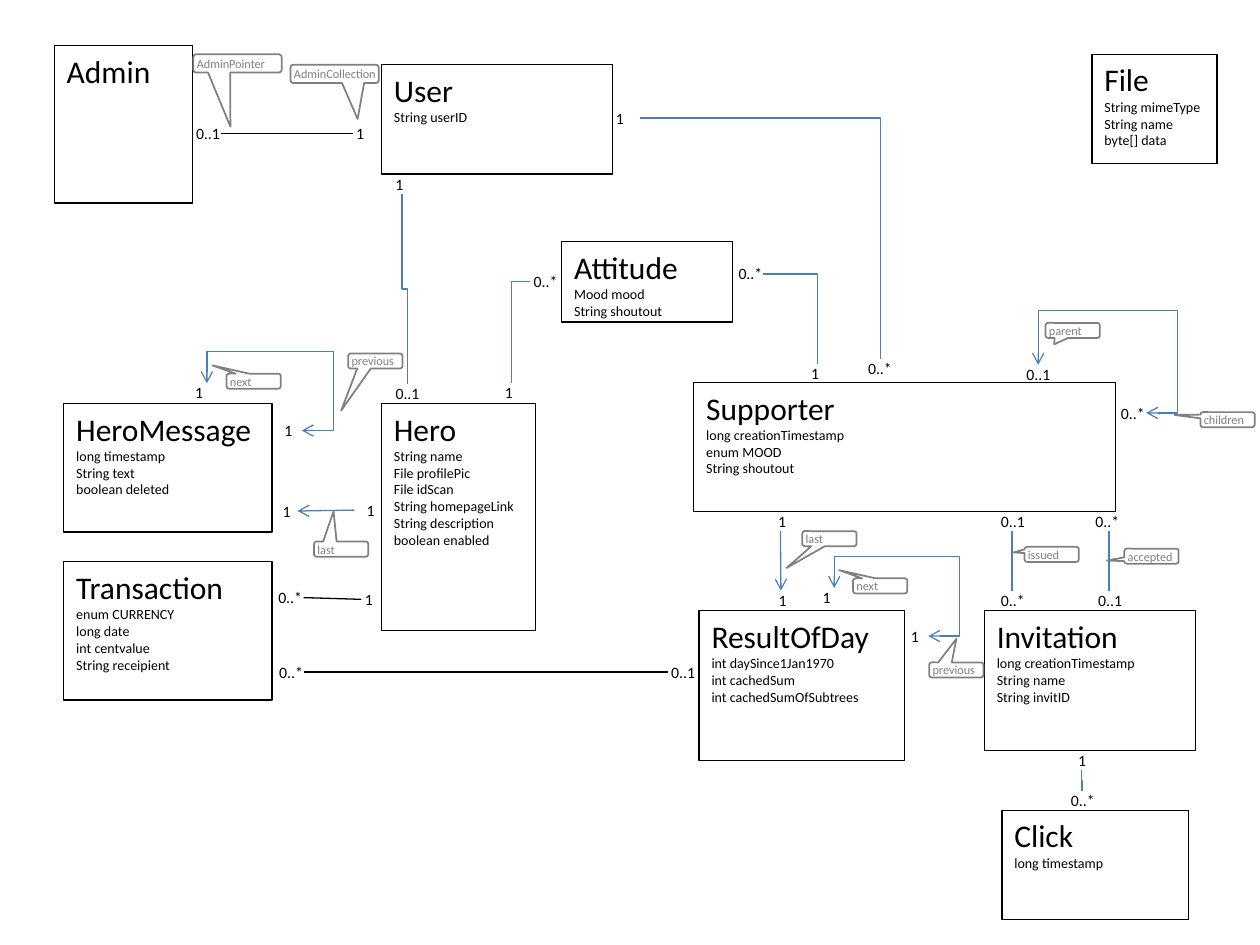
from lxml.etree import SubElement as sub
from pptx import Presentation
from pptx.dml.color import RGBColor as RGB
from pptx.enum.shapes import MSO_CONNECTOR as CONN, MSO_SHAPE as SHAPE
from pptx.enum.text import MSO_ANCHOR as ANCHOR, PP_ALIGN as ALIGN
from pptx.oxml.ns import qn
from pptx.util import Pt

HUES = {"ink": "000000", "link": "4B7EBC", "note": "808080"}
FONT = "Calibri"
TOP, LEFT, BOTTOM, RIGHT = range(4)

# Classes: name, fields, (left, top, width, height)
BOXES = [
    ("User", ["String userID"], (218, 37, 132, 62.5)),
    ("Supporter", ["long creationTimestamp", "enum MOOD", "String shoutout"],
     (396.5, 218.5, 241, 74)),
    ("Hero", ["String name", "File profilePic", "File idScan", "String homepageLink",
              "String description", "boolean enabled"], (218, 230.5, 88, 130)),
    ("Invitation", ["long creationTimestamp", "String name", "String invitID"],
     (562.5, 349, 120.5, 80)),
    ("HeroMessage", ["long timestamp", "String text", "boolean deleted"],
     (36.5, 230.5, 119, 73.5)),
    ("Transaction", ["enum CURRENCY", "long date", "int centvalue", "String receipient"],
     (36.5, 321, 119, 79)),
    ("File", ["String mimeType", "String name", "byte[] data"], (624, 31, 71.5, 62.5)),
    ("Click", ["long timestamp"], (572.5, 463, 106.5, 62.5)),
    ("ResultOfDay", ["int daySince1Jan1970", "int cachedSum", "int cachedSumOfSubtrees"],
     (399.5, 349, 117.5, 85.5)),
    ("Admin", [], (31, 26, 79, 90)),
    ("Attitude", ["Mood mood", "String shoutout"], (321, 138, 97.5, 46)),
]

# Multiplicities: key (class and partner) -> text, left, top, width
ENDS = {
    "user hero": ("1", 224, 100, 11.5),
    "hero user": ("0..1", 224, 219.5, 18),
    "att hero": ("0..*", 303, 155.5, 16),
    "hero att": ("1", 286.5, 219, 11.5),
    "att sup": ("0..*", 420, 151, 16),
    "sup att": ("1", 461.5, 208, 11.5),
    "user sup": ("1", 350, 62, 16),
    "sup user": ("0..*", 494, 205, 18.5),
    "sup parent": ("0..1", 584.5, 208.5, 17.5),
    "sup child": ("0..*", 638.5, 230.5, 16.5),
    "sup issued": ("0..1", 570, 292.5, 16.5),
    "inv issued": ("0..*", 570, 337.5, 16.5),
    "sup accept": ("0..*", 624, 292.5, 19.5),
    "inv accept": ("0..1", 625.5, 337.5, 16.5),
    "inv click": ("1", 614, 429, 8),
    "click inv": ("0..*", 610, 452, 16.5),
    "hero tra": ("1", 206.5, 337, 11.5),
    "tra hero": ("0..*", 157, 336, 16.5),
    "res tra": ("0..1", 381.5, 378.5, 16.5),
    "tra res": ("0..*", 157.5, 378.5, 16.5),
    "res next": ("1", 468, 336, 17.5),
    "res prev": ("1", 518.5, 358, 12),
    "sup last": ("1", 435, 292.5, 22),
    "res last": ("1", 438, 337.5, 16.5),
    "admin user": ("0..1", 110, 71, 16.5),
    "user admin": ("1", 201.5, 71, 21),
    "mess next": ("1", 109.5, 219, 17.5),
    "mess prev": ("1", 160.5, 240.5, 12),
    "hero last": ("1", 202.5, 286, 16.5),
    "mess last": ("1", 155.5, 286.5, 14.5),
}
END_H = 11

# Straight links: from, side, to, side, hue, arrow
LINES = [
    ("hero tra", LEFT, "tra hero", RIGHT, "ink", False),
    ("res tra", LEFT, "tra res", RIGHT, "ink", False),
    ("user admin", LEFT, "admin user", RIGHT, "ink", False),
    ("sup issued", BOTTOM, "inv issued", TOP, "link", False),
    ("sup accept", BOTTOM, "inv accept", TOP, "link", False),
    ("sup last", BOTTOM, "res last", TOP, "link", True),
    ("hero last", LEFT, "mess last", RIGHT, "link", True),
]

# Elbow links: from, side, to, side, bends, turn, flip
ELBOWS = [
    ("inv click", BOTTOM, "click inv", TOP, 2, 270, "flipH"),
    ("user hero", BOTTOM, "hero user", TOP, 2, 270, "flipH"),
    ("att hero", LEFT, "hero att", TOP, 1, 180, "flipV"),
    ("user sup", RIGHT, "sup user", TOP, 1, 0, None),
    ("att sup", RIGHT, "sup att", TOP, 1, 0, None),
]

# Self links: from the top of one end to the right of the other, rise
LOOPS = [("sup parent", "sup child", 31), ("res next", "res prev", 18),
         ("mess next", "mess prev", 18)]
REACH = 18

# Role names: text, left, top, tip as a share of the size
NOTES = [
    ("issued", 585.5, 312.5, (-0.7, -0.13)),
    ("accepted", 642.5, 313.5, (-0.82, 0.29)),
    ("children", 686, 235.5, (-0.98, -0.31)),
    ("parent", 597.5, 184.5, (-0.34, 0.93)),
    ("last", 458.5, 303.5, (-0.79, 1.95)),
    ("previous", 531, 378.5, (0, -2.07)),
    ("next", 487.5, 330.5, (-0.76, -1.05)),
    ("previous", 199, 202, (-0.63, 3.3)),
    ("next", 129.5, 213.5, (-0.76, -1.05)),
    ("last", 179.5, 309.5, (-0.14, -2.51)),
    ("AdminCollection", 166, 37, (0.26, 2.46)),
    ("AdminPointer", 110.5, 31, (-0.08, 3.45)),
]

deck = Presentation()
deck.slide_width, deck.slide_height = Pt(720), Pt(540)
slide = deck.slides.add_slide(deck.slide_layouts[6])
shapes = slide.shapes


def color(hue):
    return RGB.from_string(HUES[hue])


def write(shape, rows, hue="ink", align=ALIGN.LEFT, pads=None, **form):
    frame = shape.text_frame
    for side, pad in zip(("left", "top", "right", "bottom"), pads or ()):
        setattr(frame, f"margin_{side}", Pt(pad))
    for name, val in form.items():
        setattr(frame, name, val)
    for i, (text, size) in enumerate(rows):
        para = frame.add_paragraph() if i else frame.paragraphs[0]
        para.alignment = align
        run = para.add_run()
        run.text = text
        for name, val in {"name": FONT, "size": Pt(size)}.items():
            setattr(run.font, name, val)
        run.font.color.rgb = color(hue)


def outline(kind, area, hue, width):
    shape = shapes.add_shape(kind, *map(Pt, area))
    shape.shadow.inherit = False
    shape.fill.background()
    shape.line.color.rgb = color(hue)
    shape.line.width = Pt(width)
    return shape


def spot(key, side):
    _, x, y, w = ENDS[key]
    return [(x + w / 2, y), (x, y + END_H / 2),
            (x + w / 2, y + END_H), (x + w, y + END_H / 2)][side]


def connect(kind, start, stop, hue, heads=()):
    link = shapes.add_connector(kind, *map(Pt, start + stop))
    link.line.color.rgb = color(hue)
    link.line.width = Pt(0.75)
    props = link._element.spPr
    for head in heads:
        sub(props.find(qn("a:ln")), qn(f"a:{head}"), type="arrow")
    sub(props, qn("a:effectLst"))
    return link


def elbow(start, stop, bends, turn, flip, shifts=(), heads=()):
    (x1, y1), (x2, y2) = start, stop
    w, h = abs(x2 - x1), abs(y2 - y1)
    if turn % 180:
        w, h = h, w
    link = connect(CONN.ELBOW, (0, 0), (w, h), "link", heads)
    link.left, link.top = Pt((x1 + x2 - w) / 2), Pt((y1 + y2 - h) / 2)
    props = link._element.spPr
    props.xfrm.set("rot", str(turn * 60000))
    if flip:
        props.xfrm.set(flip, "1")
    geom = props.find(qn("a:prstGeom"))
    geom.set("prst", f"bentConnector{bends + 1}")
    for i, part in enumerate(shifts, 1):
        sub(geom.find(qn("a:avLst")), qn("a:gd"), name=f"adj{i}",
            fmla=f"val {round(part * 100000)}")


# Class boxes
for name, fields, area in BOXES:
    box = outline(SHAPE.RECTANGLE, area, "ink", 0.75)
    write(box, [(name, 18)] + [(field, 8) for field in fields],
          vertical_anchor=ANCHOR.TOP, word_wrap=False)

# Multiplicity labels
tags = {}
for key, (text, x, y, w) in ENDS.items():
    tags[key] = shapes.add_textbox(Pt(x), Pt(y), Pt(w), Pt(END_H))
    align = ALIGN.CENTER if key.endswith("last") else ALIGN.LEFT
    write(tags[key], [(f" {text}", 9)], align=align, pads=(0, 0, 0, 0), word_wrap=True)

# Links
for a, side, b, end, hue, arrow in LINES:
    link = connect(CONN.STRAIGHT, spot(a, side), spot(b, end), hue,
                   ["tailEnd"] if arrow else [])
    link.begin_connect(tags[a], side)
    link.end_connect(tags[b], end)
for a, side, b, end, *bend in ELBOWS:
    elbow(spot(a, side), spot(b, end), *bend)
for a, b, rise in LOOPS:
    start, stop = spot(a, TOP), spot(b, RIGHT)
    shifts = -rise / (stop[1] - start[1]), 1 + REACH / (stop[0] - start[0])
    elbow(start, stop, 3, 270, "flipH", shifts, ["headEnd", "tailEnd"])

# Role callouts
for text, x, y, tip in NOTES:
    size = (50.5, 10.5) if text.startswith("Admin") else (31, 8.6)
    note = outline(SHAPE.ROUNDED_RECTANGULAR_CALLOUT, (x, y, *size), "note", 1)
    for i, val in enumerate((*tip, 0.17)):
        note.adjustments[i] = val
    write(note, [(text, 7)], "note", pads=(1.5, 0, 0, 0),
          vertical_anchor=ANCHOR.MIDDLE, word_wrap=True)

deck.save("out.pptx")
